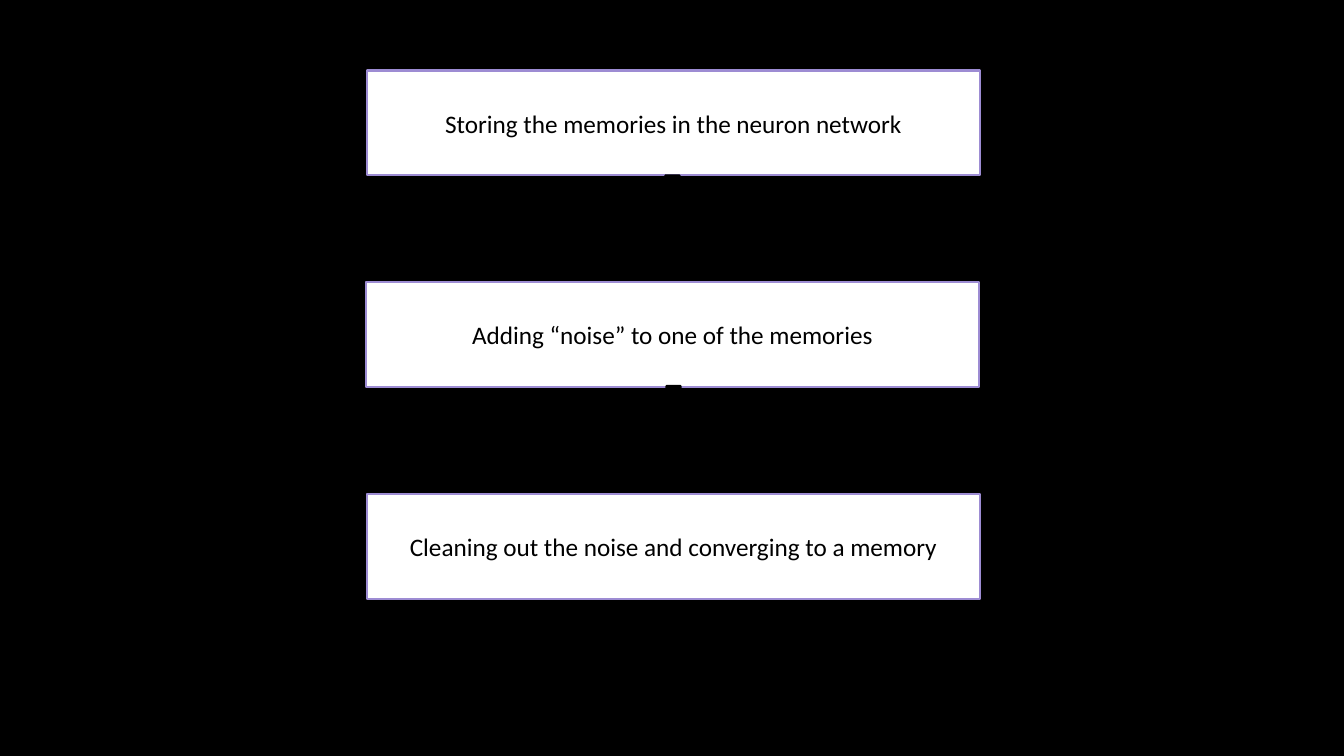
from pptx import Presentation
from pptx.dml.color import RGBColor
from pptx.enum.shapes import MSO_SHAPE
from pptx.enum.text import MSO_ANCHOR, PP_ALIGN
from pptx.util import Inches, Pt

RECTANGLE = MSO_SHAPE.RECTANGLE
DOWN_ARROW = MSO_SHAPE.DOWN_ARROW
MIDDLE = MSO_ANCHOR.MIDDLE
CENTER = PP_ALIGN.CENTER

COLORS = {"black": "000000", "white": "FFFFFF", "violet": "9D8CD3"}
STEP_HEIGHT = 1.04
STEPS = [
    (3.64, "Storing the memories in the neuron network"),
    (3.63, "Adding “noise” to one of the memories"),
    (3.64, "Cleaning out the noise and converging to a memory"),
]
ARROWS = [(6.53, 1.74), (6.54, 3.83)]


def color(name):
    return RGBColor.from_string(COLORS[name])


def add_block(kind, left, top, width, fill, line):
    shape = slide.shapes.add_shape(
        kind, Inches(left), Inches(top), Inches(width), Inches(STEP_HEIGHT)
    )
    shape.shadow.inherit = False
    shape.fill.solid()
    shape.fill.fore_color.rgb = color(fill)
    shape.line.color.rgb = color(line)
    shape.line.width = Pt(1.5)
    return shape


presentation = Presentation()
presentation.slide_width = Inches(13.33)
presentation.slide_height = Inches(7.5)
slide = presentation.slides.add_slide(presentation.slide_layouts[6])
slide.background.fill.solid()
slide.background.fill.fore_color.rgb = color("black")

for index, (left, text) in enumerate(STEPS):
    step = add_block(RECTANGLE, left, 0.7 + 2.1 * index, 6.08, "white", "violet")
    step.text_frame.word_wrap = True
    step.text_frame.vertical_anchor = MIDDLE
    paragraph = step.text_frame.paragraphs[0]
    paragraph.text = text
    paragraph.alignment = CENTER
    paragraph.font.name = "Calibri"
    paragraph.font.size = Pt(18)
    paragraph.font.color.rgb = color("black")

for left, top in ARROWS:
    add_block(DOWN_ARROW, left, top, 0.28, "black", "black")

presentation.save("out.pptx")
